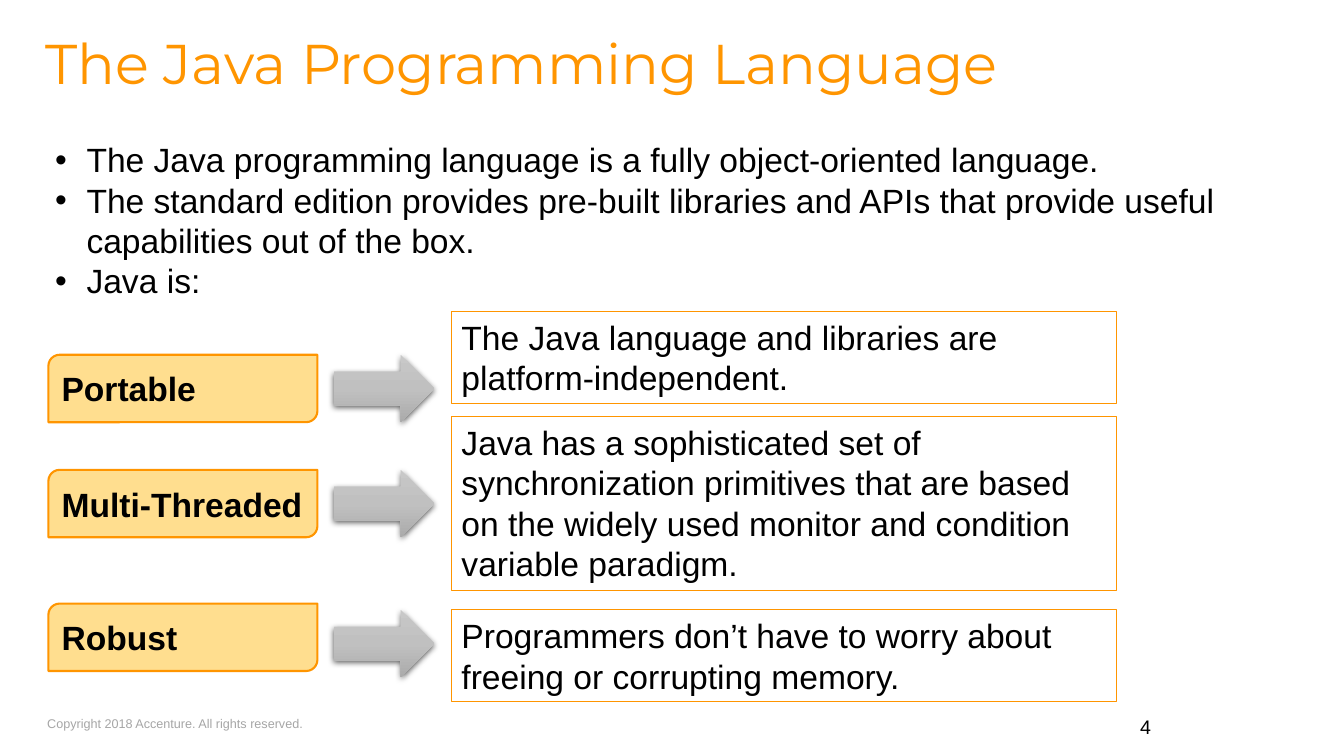
from lxml.etree import SubElement
from pptx import Presentation
from pptx.dml.color import RGBColor
from pptx.enum.shapes import MSO_SHAPE as Shape
from pptx.enum.text import MSO_ANCHOR as Anchor, MSO_AUTO_SIZE as AutoSize, PP_ALIGN as Align
from pptx.oxml import parse_xml
from pptx.oxml.ns import nsdecls, qn
from pptx.util import Cm, Pt

TITLE = "The Java Programming Language"
POINTS = [
    "The Java programming language is a fully object-oriented language.",
    "The standard edition provides pre-built libraries and APIs that provide useful "
    "capabilities out of the box.",
    "Java is:",
]
# trait, explanation, then in cm: trait top, arrow top, explanation top and height
TRAITS = [
    ("Portable", "The Java language and libraries are platform-independent.",
     8.94, 8.94, 7.85, 2.31),
    ("Multi-Threaded", "Java has a sophisticated set of synchronization primitives that are "
     "based on the widely used monitor and condition variable paradigm.",
     11.84, 11.84, 10.5, 4.37),
    ("Robust", "Programmers don’t have to worry about freeing or corrupting memory.",
     15.21, 15.37, 15.37, 2.31),
]
COPYRIGHT = "Copyright 2018 Accenture. All rights reserved."
PAGE = "4"

ORANGE, AMBER, BLACK, GRAY = "FF9500", "FFB600", "000000", "A6A6A6"
ARROW_SHADES = [(0, "C8C8C8"), (50, "C0C0C0"), (100, "ABABAB")]
ROW_HEIGHT = 1.7
TRAIT_LEFT, TRAIT_WIDTH = 1.22, 6.78
ARROW_LEFT, ARROW_WIDTH = 8.41, 2.54
NOTE_LEFT, NOTE_WIDTH = 11.38, 16.76


def rgb(code):
    return RGBColor.from_string(code)


def place(part, left, top, width, height):
    part.left, part.top, part.width, part.height = map(Cm, (left, top, width, height))


def write(paragraph, text, size=24, color=BLACK, font="Arial", bold=False, align=Align.LEFT):
    paragraph.alignment = align
    run = paragraph.add_run()
    run.text = text
    run.font.size, run.font.name, run.font.bold = Pt(size), font, bold
    run.font.color.rgb = rgb(color)


def set_frame(frame, anchor=Anchor.TOP, side=0.25, edge=0.13, wrap=True):
    frame.word_wrap, frame.auto_size = wrap, AutoSize.NONE
    frame.vertical_anchor = anchor
    frame.margin_left = frame.margin_right = Cm(side)
    frame.margin_top = frame.margin_bottom = Cm(edge)
    return frame.paragraphs[0]


def add_bullet(paragraph):
    props = paragraph._p.get_or_add_pPr()
    props.set("marL", str(Cm(0.79)))
    props.set("indent", str(-Cm(0.79)))
    SubElement(props, qn("a:buFont")).set("typeface", "Arial")
    SubElement(props, qn("a:buChar")).set("char", "•")


def add_outlined(slide, kind, box, weight):
    shape = slide.shapes.add_shape(kind, *map(Cm, box))
    shape.shadow.inherit = False
    shape.fill.background()
    shape.line.color.rgb = rgb(ORANGE)
    shape.line.width = Pt(weight)
    return shape


def add_trait(slide, name, top):
    trait = add_outlined(slide, Shape.ROUND_2_DIAG_RECTANGLE,
                         (TRAIT_LEFT, top, TRAIT_WIDTH, ROW_HEIGHT), 1.5)
    trait.fill.solid()
    trait.fill.fore_color.rgb = rgb(AMBER)
    tint = trait._element.spPr.find(qn("a:solidFill"))[0]
    SubElement(tint, qn("a:alpha")).set("val", "44000")
    write(set_frame(trait.text_frame, Anchor.MIDDLE), name, bold=True)


def add_arrow(slide, top):
    """Add a right arrow with a gray gradient and a soft shadow below."""
    arrow = slide.shapes.add_shape(Shape.RIGHT_ARROW, *map(
        Cm, (ARROW_LEFT, top, ARROW_WIDTH, ROW_HEIGHT)))
    arrow.line.fill.background()
    arrow.shadow.inherit = False
    props = arrow._element.spPr
    stops = "".join(f'<a:gs pos="{pos * 1000}"><a:srgbClr val="{shade}"/></a:gs>'
                    for pos, shade in ARROW_SHADES)
    props.find(qn("a:prstGeom")).addnext(parse_xml(
        f'<a:gradFill {nsdecls("a")} rotWithShape="1"><a:gsLst>{stops}</a:gsLst>'
        '<a:lin ang="5400000" scaled="0"/></a:gradFill>'))
    props.find(qn("a:effectLst")).append(parse_xml(
        f'<a:outerShdw {nsdecls("a")} blurRad="{Pt(4.5)}" dist="{Pt(1.5)}" dir="5400000" '
        f'algn="ctr" rotWithShape="0"><a:srgbClr val="{BLACK}"><a:alpha val="63000"/>'
        '</a:srgbClr></a:outerShdw>'))


def add_note(slide, text, top, height):
    note = add_outlined(slide, Shape.RECTANGLE, (NOTE_LEFT, top, NOTE_WIDTH, height), 0.75)
    write(set_frame(note.text_frame), text)


def main():
    deck = Presentation()
    deck.slide_width, deck.slide_height = Cm(33.87), Cm(19.05)
    slide = deck.slides.add_slide(deck.slide_layouts[1])

    title, body = slide.placeholders
    place(title, 1.14, 1.04, 26.5, 2.77)
    heading = set_frame(title.text_frame, side=0, edge=0)
    heading.line_spacing = 0.8
    write(heading, TITLE, 40, ORANGE, "Montserrat")

    place(body, 1.14, 3.38, 32.23, 13.13)
    set_frame(body.text_frame)
    for i, point in enumerate(POINTS):
        paragraph = body.text_frame.add_paragraph() if i else body.text_frame.paragraphs[0]
        paragraph.space_before = Pt(0)
        add_bullet(paragraph)
        write(paragraph, point)

    for name, text, trait_top, arrow_top, note_top, note_height in TRAITS:
        add_trait(slide, name, trait_top)
        add_arrow(slide, arrow_top)
        add_note(slide, text, note_top, note_height)

    rights = slide.shapes.add_textbox(*map(Cm, (1.19, 17.91, 6.53, 0.64)))
    write(set_frame(rights.text_frame, side=0, wrap=False), COPYRIGHT, 9, GRAY)
    number = slide.shapes.add_textbox(*map(Cm, (24.56, 17.98, 4.7, 0.76)))
    write(set_frame(number.text_frame, Anchor.BOTTOM), PAGE, 14, align=Align.RIGHT)

    deck.save("out.pptx")


if __name__ == "__main__":
    main()
